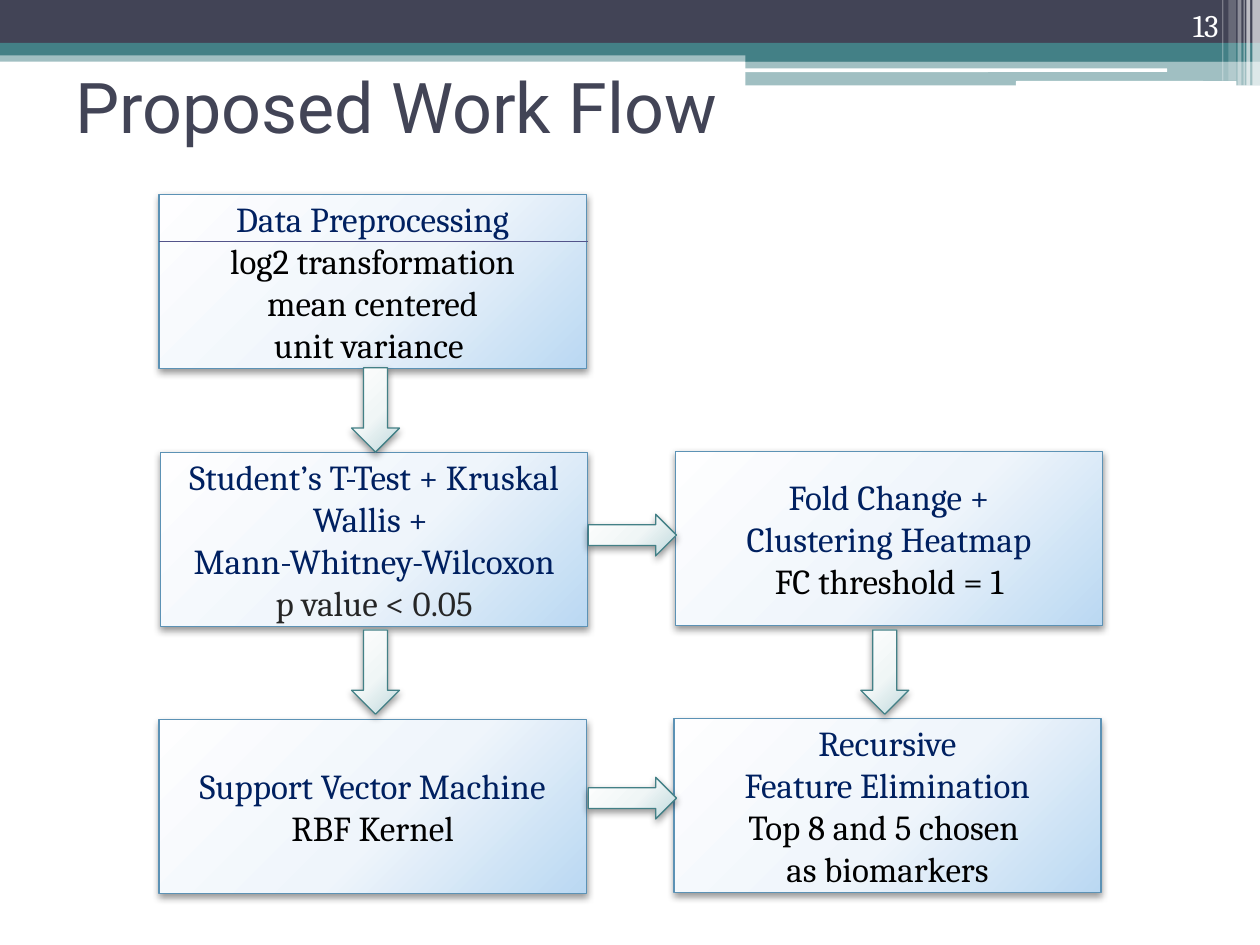
from typing import NamedTuple

from pptx import Presentation
from pptx.dml.color import RGBColor
from pptx.enum.shapes import MSO_CONNECTOR as Link, MSO_SHAPE as Form
from pptx.enum.text import MSO_ANCHOR as Anchor, PP_ALIGN as Align
from pptx.oxml import parse_xml
from pptx.oxml.ns import nsdecls, qn
from pptx.util import Pt

HUES = {
    "slate": "424456", "teal": "438086", "white": "FFFFFF",
    "navy": "002060", "black": "000000", "grey": "262626",
    "edge": "5C92B5", "rule": "53548A",
}
BLUES = ("FEFEFF", "EFF5FB", "BAD8F2")
TEALS = ("FEFEFE", "F0F6F6", "BFD9DD")
BOX_W, BOX_H = 244.1, 99.4
DOWN_W, DOWN_H = 27.4, 48.2
SIDE_W, SIDE_H = 50.4, 23.8


class Band(NamedTuple):
    left: float
    top: float
    width: float
    height: float
    hue: str
    alpha: int = 100
    form: Form = Form.RECTANGLE


class Step(NamedTuple):
    left: float
    top: float
    heads: tuple[str, ...]
    notes: tuple[str, ...]
    hue: str = "black"


class Arrow(NamedTuple):
    form: Form
    left: float
    top: float


BANDS = [
    Band(0, 28.8, 720, 6.5, "teal", 50),
    Band(0, 0, 720, 24.5, "slate"),
    Band(0, 24.5, 720, 7.2, "teal"),
    Band(426, 28.1, 294, 7.2, "teal"),
    Band(426, 34.9, 294, 14, "teal", 50),
    Band(425.7, 39.1, 241.2, 2.1, "white", form=Form.ROUNDED_RECTANGLE),
    Band(580.5, 46.3, 126, 2.8, "white", form=Form.ROUNDED_RECTANGLE),
    Band(715.7, 0, 4.3, 49, "white", 65),
    Band(712.2, 0, 2.2, 49, "white", 65),
    Band(710.6, 0, 0.7, 49, "white", 60),
    Band(707.2, 0, 2.2, 49, "white", 40),
    Band(702, 0, 4.3, 46.1, "white", 20),
    Band(698.4, 0, 0.7, 46.1, "white", 30),
]
STEPS = [
    Step(91.8, 258.5, ("Student’s T-Test + Kruskal Wallis + ",
                       "Mann-Whitney-Wilcoxon"), ("p value < 0.05",), "grey"),
    Step(90.9, 411.1, ("Support Vector Machine",), ("RBF Kernel",)),
    Step(386, 257.9, ("Fold Change +", "Clustering Heatmap"),
         ("FC threshold = 1",)),
    Step(385.1, 410.5, ("Recursive", "Feature Elimination"),
         ("Top 8 and 5 chosen ", "as biomarkers")),
    Step(90.9, 111, ("Data Preprocessing",),
         ("log2 transformation", "mean centered", "unit variance ")),
]
ARROWS = [
    Arrow(Form.DOWN_ARROW, 200.9, 210.2),
    Arrow(Form.DOWN_ARROW, 200.9, 360),
    Arrow(Form.DOWN_ARROW, 491.9, 360),
    Arrow(Form.RIGHT_ARROW, 336.2, 293.9),
    Arrow(Form.RIGHT_ARROW, 336.2, 444.2),
]


def tint(hue: str) -> RGBColor:
    return RGBColor.from_string(HUES[hue])


def add_band(slide, band: Band) -> None:
    shape = slide.shapes.add_shape(band.form, *map(Pt, band[:4]))
    shape.shadow.inherit = False
    shape.line.fill.background()
    shape.fill.solid()
    shape.fill.fore_color.rgb = tint(band.hue)
    if band.alpha < 100:
        color = shape._element.spPr.find(".//" + qn("a:srgbClr"))
        color.append(parse_xml(
            f'<a:alpha {nsdecls("a")} val="{band.alpha * 1000}"/>'))


def add_glow(slide, form: Form, place: tuple, stops: tuple, edge: str):
    """Add a shape with a radial gradient, a thin edge and a soft shadow."""
    shape = slide.shapes.add_shape(form, *map(Pt, place))
    shape.line.color.rgb = tint(edge)
    shape.line.width = Pt(0.75)
    shape.shadow.inherit = False
    marks = "".join(
        f'<a:gs pos="{pos * 1000}"><a:srgbClr val="{stop}"/></a:gs>'
        for pos, stop in zip((0, 55, 100), stops))
    props = shape._element.spPr
    props.insert(2, parse_xml(
        f'<a:gradFill {nsdecls("a")} rotWithShape="1"><a:gsLst>{marks}</a:gsLst>'
        '<a:path path="circle"><a:fillToRect l="-40000" t="-90000" '
        'r="140000" b="190000"/></a:path></a:gradFill>'))
    props.find(qn("a:effectLst")).append(parse_xml(
        f'<a:outerShdw {nsdecls("a")} blurRad="{Pt(4.1)}" dist="{Pt(2)}" '
        'dir="5400000" rotWithShape="0"><a:srgbClr val="000000">'
        '<a:alpha val="40000"/></a:srgbClr></a:outerShdw>'))
    return shape


def style(para, text: str, face: str, size: float, hue: str, align: Align) -> None:
    para.text = text
    para.alignment = align
    para.font.name = face
    para.font.size = Pt(size)
    para.font.color.rgb = tint(hue)


def add_step(slide, step: Step) -> None:
    place = (step.left, step.top, BOX_W, BOX_H)
    frame = add_glow(slide, Form.RECTANGLE, place, BLUES, "edge").text_frame
    frame.word_wrap = True
    frame.vertical_anchor = Anchor.MIDDLE
    lines = [(text, "navy") for text in step.heads]
    lines += [(text, step.hue) for text in step.notes]
    for row, (text, hue) in enumerate(lines):
        para = frame.add_paragraph() if row else frame.paragraphs[0]
        style(para, text, "Cambria", 20, hue, Align.CENTER)


def add_arrow(slide, arrow: Arrow) -> None:
    down = arrow.form == Form.DOWN_ARROW
    size = (DOWN_W, DOWN_H) if down else (SIDE_W, SIDE_H)
    add_glow(slide, arrow.form, (arrow.left, arrow.top, *size), TEALS, "teal")


def add_label(slide, place: tuple, anchor: Anchor, *look) -> None:
    frame = slide.shapes.add_textbox(*map(Pt, place)).text_frame
    frame.word_wrap = True
    frame.vertical_anchor = anchor
    style(frame.paragraphs[0], *look)


def add_rule(slide, left: float, right: float, y: float) -> None:
    rule = slide.shapes.add_connector(
        Link.STRAIGHT, Pt(left), Pt(y), Pt(right), Pt(y))
    rule.line.color.rgb = tint("rule")
    rule.line.width = Pt(0.75)
    rule._element.spPr.append(parse_xml(f'<a:effectLst {nsdecls("a")}/>'))


def main() -> None:
    deck = Presentation()
    deck.slide_width, deck.slide_height = Pt(720), Pt(540)
    slide = deck.slides.add_slide(deck.slide_layouts[6])
    for band in BANDS:
        add_band(slide, band)
    add_label(slide, (36, 18, 648, 84.2), Anchor.MIDDLE,
              "Proposed Work Flow", "Roboto", 40, "slate", Align.LEFT)
    add_label(slide, (643.7, 0, 59.8, 28.8), Anchor.BOTTOM,
              "13", "Cambria", 18, "white", Align.RIGHT)
    for step in STEPS:
        add_step(slide, step)
    for arrow in ARROWS:
        add_arrow(slide, arrow)
    add_rule(slide, 90.9, 336, 138)
    deck.save("out.pptx")


if __name__ == "__main__":
    main()
